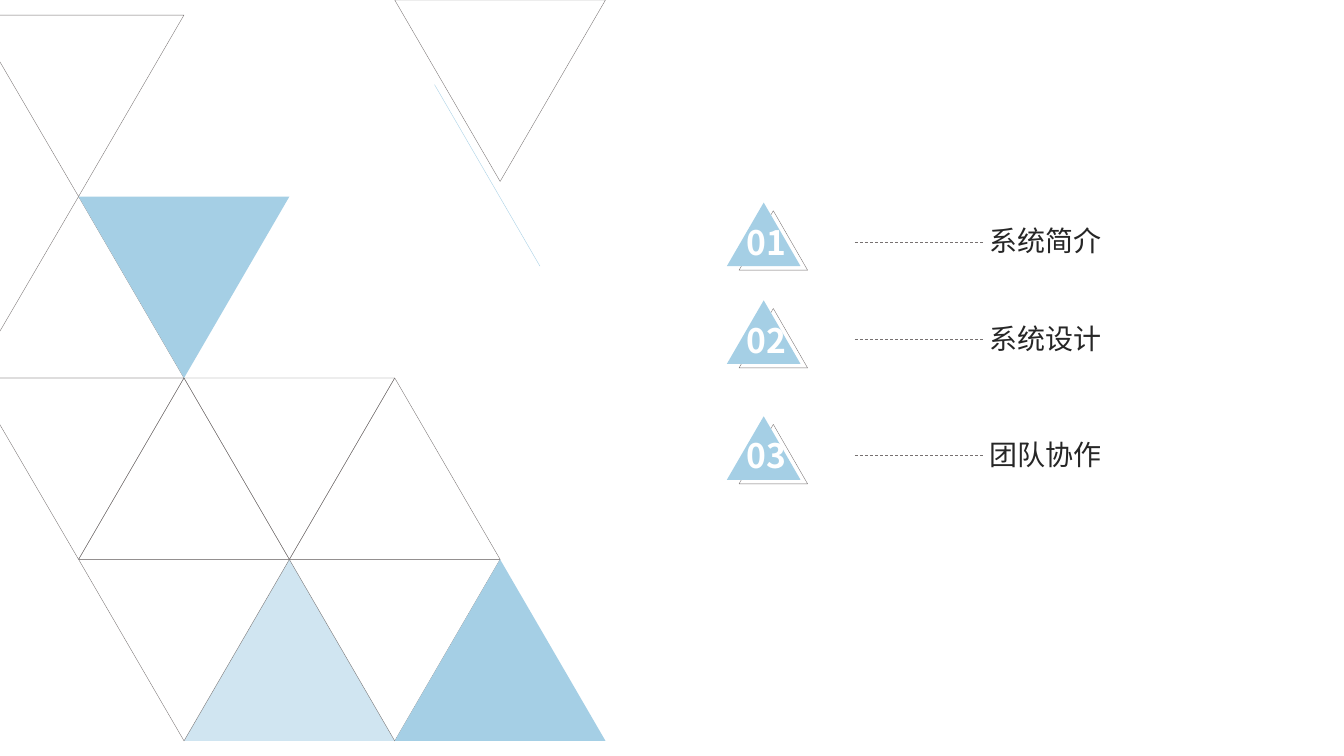
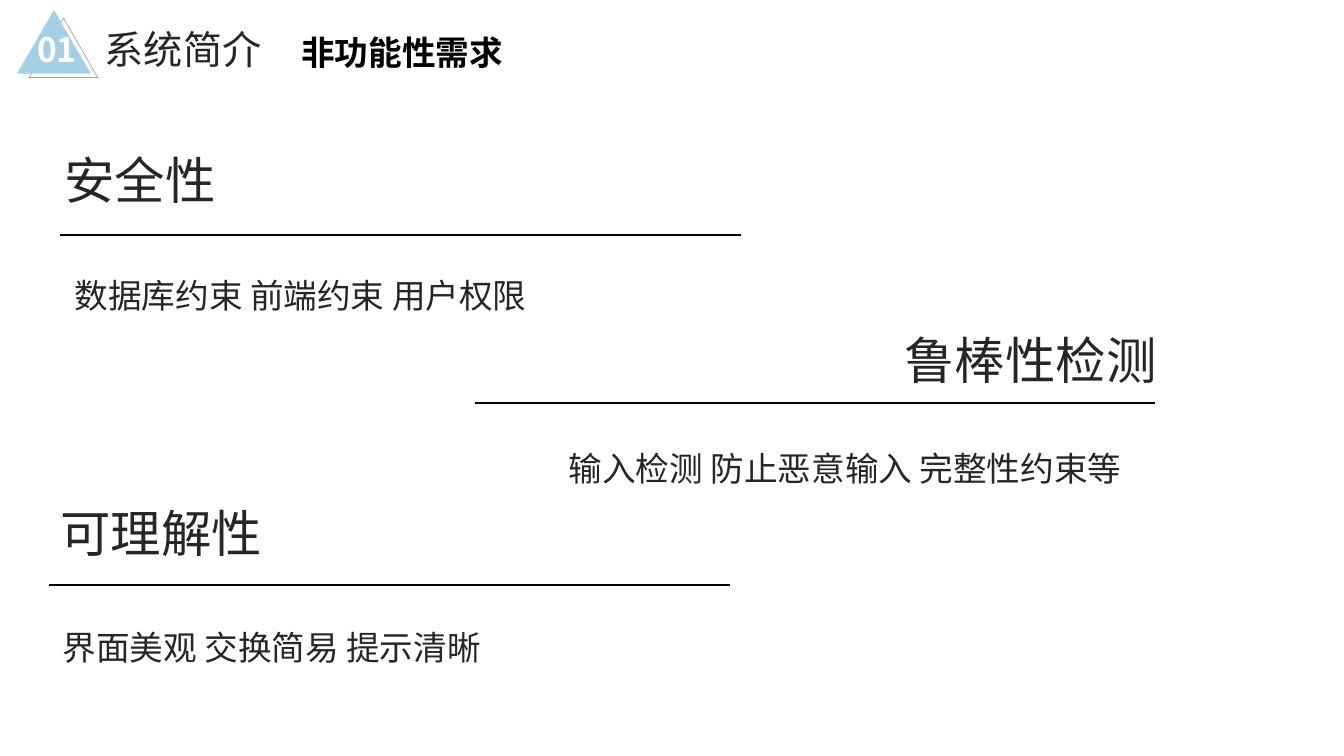
from lxml.etree import SubElement
from pptx import Presentation
from pptx.dml.color import RGBColor
from pptx.enum.dml import MSO_LINE
from pptx.enum.shapes import MSO_CONNECTOR, MSO_SHAPE
from pptx.enum.text import MSO_ANCHOR, MSO_AUTO_SIZE, PP_ALIGN
from pptx.oxml.ns import qn
from pptx.util import Inches, Pt

BLUE = RGBColor(0xA5, 0xCF, 0xE5)
GRAY = RGBColor(0x76, 0x71, 0x71)
INK = RGBColor(0x26, 0x26, 0x26)
BLACK = RGBColor(0, 0, 0)
WHITE = RGBColor(0xFF, 0xFF, 0xFF)
FONT = "Noto Sans CJK SC"
TOPIC_FONT = "DejaVu Sans"

LATTICE_X, LATTICE_Y = 0.78, 0.15
HALF, ROW = 1.045, 1.8
EDGE_X = -0.02
EDGE_CUT = 0.43

# column, row, points down, fill, opacity in percent
TRIANGLES = [
    (3, -LATTICE_Y / ROW, True, None, 100),
    (1, 2, True, None, 100),
    (1, 3, False, BLUE, 52),
    (0, 2, False, None, 100),
    (2, 3, True, None, 100),
    (3, 3, False, BLUE, 100),
    (0, 3, True, None, 100),
    (0, 1, True, BLUE, 100),
    (2, 2, False, None, 100),
]
# row, points down
CUT_TRIANGLES = [(2, True), (1, False), (0, True)]

AGENDA = [("01", "系统简介", 2.01), ("02", "系统设计", 2.98), ("03", "团队协作", 4.13)]
AGENDA_X = 7.21

# heading, heading box, rule start, body, body start
REQUIREMENTS = [
    ("安全性", (0.64, 1.36, 2.54), (0.6, 2.33), "数据库约束 前端约束 用户权限", (0.74, 2.65)),
    ("鲁棒性检测", (8.97, 3.15, 4.1), (4.71, 4), "输入检测 防止恶意输入 完整性约束等", (5.64, 4.36)),
    ("可理解性", (0.6, 4.86, 2.98), (0.49, 5.8), "界面美观 交换简易 提示清晰", (0.62, 6.14)),
]
RULE_W, BODY_W = 6.75, 6.66


def paint(s, fill, opacity=100):
    s.shadow.inherit = False
    if fill is None:
        s.fill.background()
        s.line.color.rgb = GRAY
        s.line.width = Pt(0.25)
        return
    s.fill.solid()
    s.fill.fore_color.rgb = fill
    s.line.fill.background()
    if opacity < 100:
        color = s._element.spPr.find(qn("a:solidFill"))[0]
        SubElement(color, qn("a:alpha")).set("val", str(opacity * 1000))


def triangle(slide, x, y, w, h, fill=None, opacity=100, down=False):
    s = slide.shapes.add_shape(MSO_SHAPE.ISOSCELES_TRIANGLE, Inches(x), Inches(y), Inches(w), Inches(h))
    s.rotation = 180 if down else 0
    paint(s, fill, opacity)


def cut_triangle(slide, row, down):
    top = LATTICE_Y + row * ROW
    base, tip, step = (top, top + ROW, EDGE_CUT) if down else (top + ROW, top, -EDGE_CUT)
    points = [(LATTICE_X + HALF, base), (EDGE_X, base), (EDGE_X, base + step), (LATTICE_X, tip)]
    points = [(Inches(x), Inches(y)) for x, y in points]
    builder = slide.shapes.build_freeform(*points[0])
    builder.add_line_segments(points[1:], close=True)
    paint(builder.convert_to_shape(), None)


def line(slide, x1, y1, x2, y2, color, width, dash=None):
    s = slide.shapes.add_connector(MSO_CONNECTOR.STRAIGHT, Inches(x1), Inches(y1), Inches(x2), Inches(y2))
    s.line.color.rgb = color
    s.line.width = Pt(width)
    if dash:
        s.line.dash_style = dash
    SubElement(s._element.spPr, qn("a:effectLst"))


def text(slide, words, x, y, w, h, size, color=INK, bold=False, font=FONT, inset=True, grow=True):
    s = slide.shapes.add_textbox(Inches(x), Inches(y), Inches(w), Inches(h))
    tf = s.text_frame
    tf.word_wrap = True
    tf.auto_size = MSO_AUTO_SIZE.SHAPE_TO_FIT_TEXT if grow else MSO_AUTO_SIZE.NONE
    if not inset:
        tf.margin_left = tf.margin_right = tf.margin_top = tf.margin_bottom = 0
    p = tf.paragraphs[0]
    r = p.add_run()
    r.text = words
    r.font.size = Pt(size)
    r.font.bold = bold
    r.font.color.rgb = color
    r.font.name = font
    SubElement(r._r.get_or_add_rPr(), qn("a:ea")).set("typeface", font)
    return tf


def label(slide, words, x, y, w, size):
    tf = text(slide, words, x, y, w, 0.51, size, inset=False, grow=False)
    tf.vertical_anchor = MSO_ANCHOR.MIDDLE
    tf.paragraphs[0].alignment = PP_ALIGN.JUSTIFY


def spaced_text(slide, words, x, y, w, h, size):
    p = text(slide, words, x, y, w, h, size, inset=False).paragraphs[0]
    p.line_spacing = 1.2
    p.space_before = Pt(size * 0.2)


def badge(slide, number, x, y):
    triangle(slide, x + 0.12, y + 0.08, 0.68, 0.59)
    triangle(slide, x, y, 0.73, 0.63, BLUE)
    text(slide, number, x + 0.1, y + 0.14, 0.68, 0.5, 24, WHITE, bold=True)


def agenda_slide(prs):
    slide = prs.slides.add_slide(prs.slide_layouts[6])
    for row, down in CUT_TRIANGLES:
        cut_triangle(slide, row, down)
    for col, row, down, fill, opacity in TRIANGLES:
        x, y = LATTICE_X + col * HALF, LATTICE_Y + row * ROW
        triangle(slide, x, y, 2 * HALF, ROW, fill, opacity, down)
    line(slide, 4.31, 0.84, 4.31 + HALF, 0.84 + ROW, BLUE, 0.25)
    for number, title, y in AGENDA:
        badge(slide, number, AGENDA_X, y)
        label(slide, title, AGENDA_X + 2.6, y + 0.12, 2.41, 20)
        line(slide, AGENDA_X + 1.27, y + 0.39, AGENDA_X + 2.54, y + 0.39, GRAY, 0.5, MSO_LINE.DASH)


def requirements_slide(prs):
    slide = prs.slides.add_slide(prs.slide_layouts[6])
    number, section, _ = AGENDA[0]
    badge(slide, number, 0.17, 0.1)
    label(slide, section, 1.04, 0.23, 4.43, 28)
    text(slide, "非功能性需求", 2.89, 0.27, 3.01, 0.5, 24, BLACK, bold=True, font=TOPIC_FONT)
    for heading, heading_box, (rule_x, rule_y), body, body_start in REQUIREMENTS:
        spaced_text(slide, heading, *heading_box, 0.63, 36)
        line(slide, rule_x, rule_y, rule_x + RULE_W, rule_y, BLACK, 1.5)
        spaced_text(slide, body, *body_start, BODY_W, 0.42, 24)


def main():
    prs = Presentation()
    prs.slide_width, prs.slide_height = Inches(13.33), Inches(7.5)
    agenda_slide(prs)
    requirements_slide(prs)
    prs.save("out.pptx")


if __name__ == "__main__":
    main()
